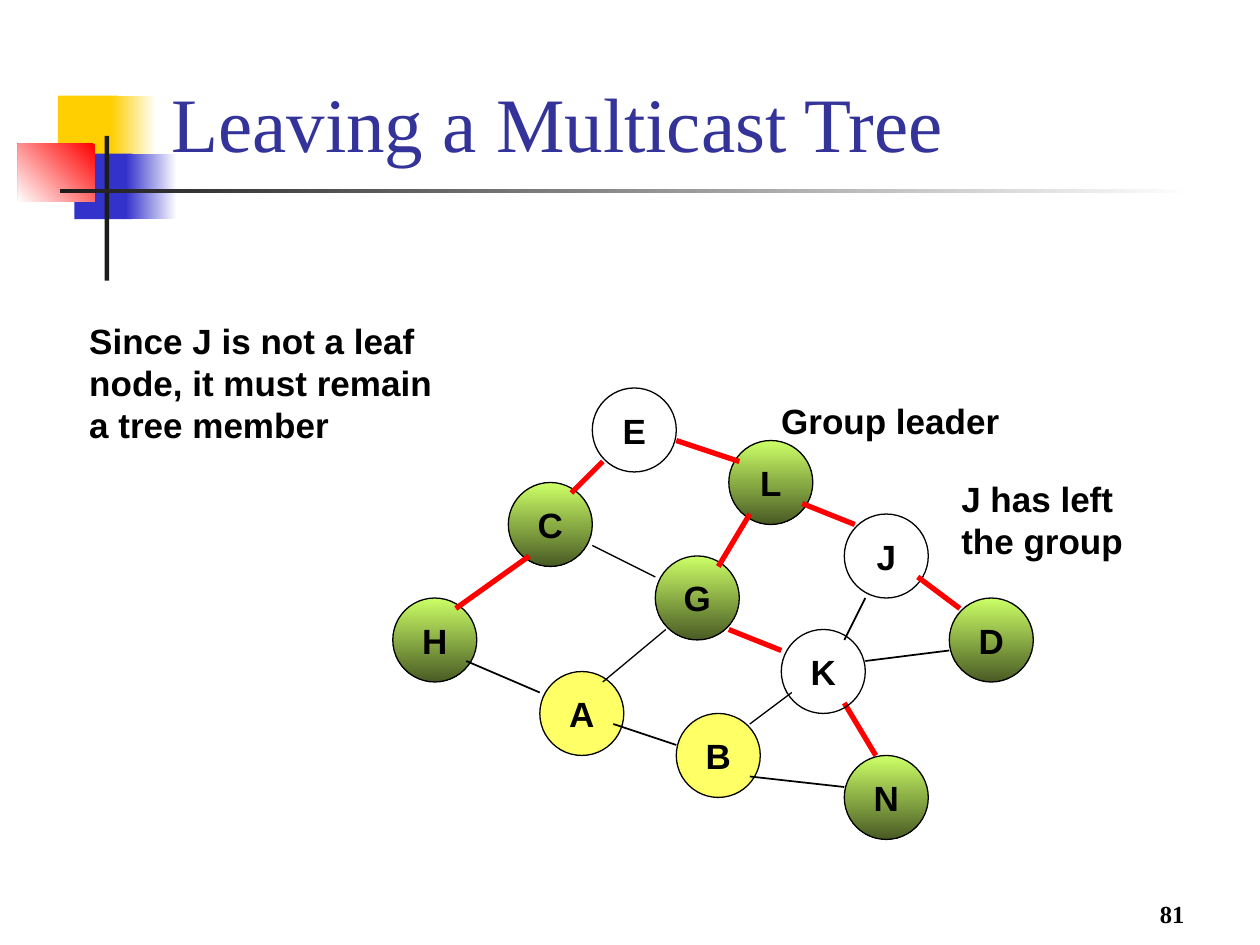
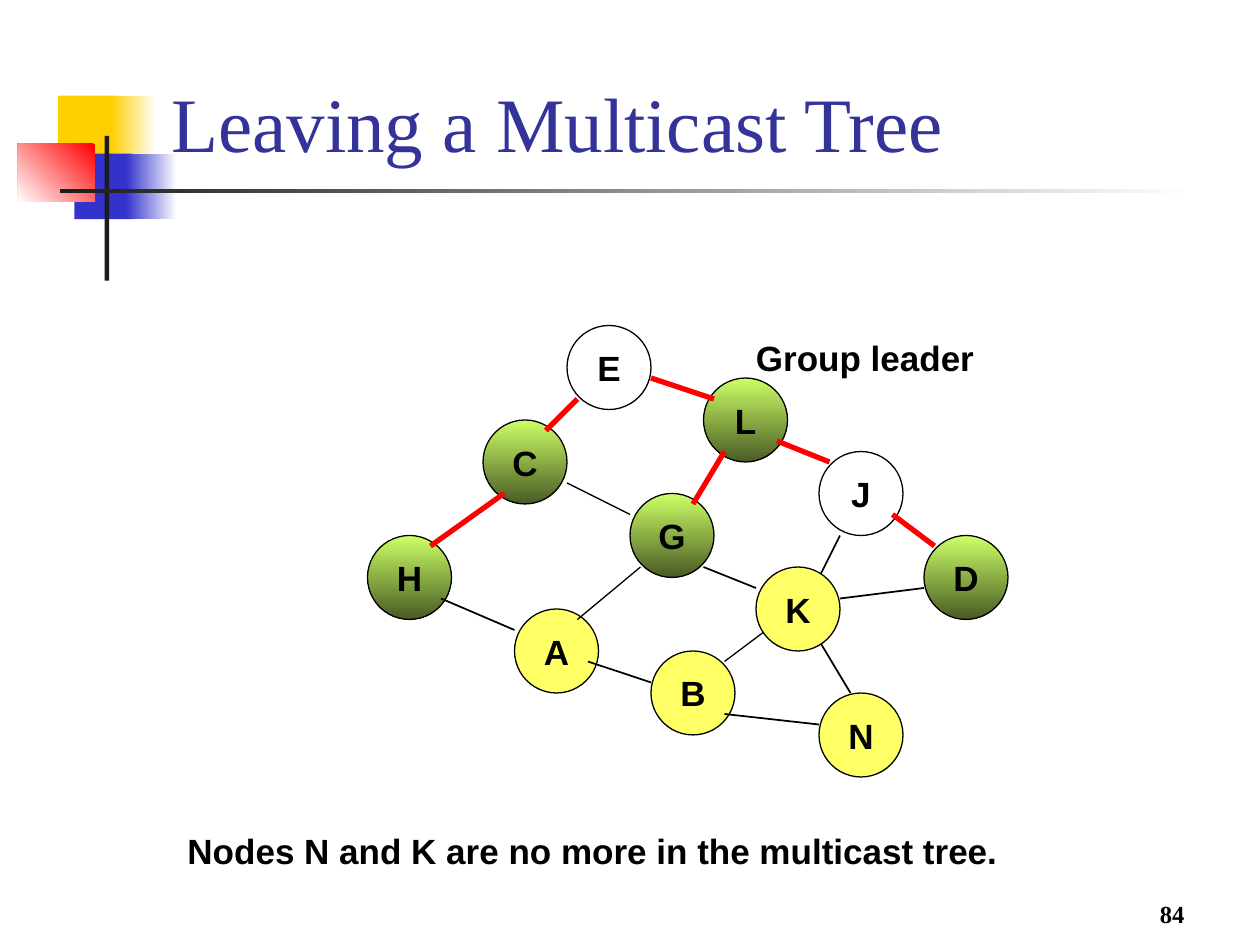
from dataclasses import dataclass

from lxml import etree
from pptx import Presentation, util as u
from pptx.dml.color import RGBColor
from pptx.enum import shapes as es, text as et
from pptx.oxml.ns import qn

Cm, Pt = u.Cm, u.Pt


# Theme: colours, fonts and sizes
@dataclass(frozen=True)
class Theme:
    ink: str = "000000"
    white: str = "FFFFFF"
    title: str = "333399"
    gold: str = "FFCF01"
    blue: str = "3333CC"
    red: str = "FF0000"
    bar: str = "1C1C1C"
    idle: str = "FFFF66"
    lime: str = "CCFF66"
    moss: str = "495B24"
    serif: str = "Times New Roman"
    sans: str = "Arial"
    head: int = 44
    body: int = 20
    foot: int = 14
    hair: float = 0.75
    thin: float = 1
    thick: float = 3


T = Theme()
CELL = 2.54 / 12  # the graph sits on a grid of twelfths of an inch
SIZE = 8          # node diameter in cells

# Graph: node places and link ends in cells
NODES = {"E": (54, 31), "L": (67, 36), "H": (35, 51), "J": (78, 43),
         "D": (88, 51), "C": (46, 40), "G": (60, 47), "A": (49, 58),
         "B": (62, 62), "K": (72, 54), "N": (78, 66)}
FRONT = "KN"  # nodes drawn above the links
LINKS = {"CH": (48, 47, 41, 52), "EC": (55, 38, 52, 41),
         "EL": (62, 36, 68, 38), "LG": (69, 43, 66, 48),
         "CG": (54, 46, 60, 49), "HA": (42, 57, 49, 60),
         "LJ": (74, 42, 79, 44), "GK": (67, 54, 72, 56),
         "JD": (85, 49, 89, 52), "DK": (88, 56, 80, 57),
         "NK": (81, 66, 78, 61), "BA": (62, 65, 56, 63),
         "BN": (69, 68, 78, 69), "JK": (80, 51, 78, 55),
         "GA": (61, 54, 55, 59), "KB": (73, 60, 69, 63)}
FINE = {"CG", "GA", "KB"}
TREE = {"CH", "EC", "EL", "LG", "LJ", "JD"}


class Deck:
    def __init__(self):
        self.prs = Presentation()
        self.prs.slide_width, self.prs.slide_height = Cm(25.4), Cm(19.05)
        self.base = self.prs.slide_layouts.get_by_name("Title Only")
        self.page = None

    def paint(self, fill, color, angle=0):
        """Fill with nothing, one colour, or a pair at a clockwise angle."""
        if color is None:
            fill.background()
        elif isinstance(color, str):
            fill.solid()
            fill.fore_color.rgb = RGBColor.from_string(color)
        else:
            fill.gradient()
            fill.gradient_angle = (360 - angle) % 360
            for stop, tone in zip(fill.gradient_stops, color):
                stop.color.rgb = RGBColor.from_string(tone)

    def label(self, frame, lines, size, font, color=T.ink, bold=True,
              align=et.PP_ALIGN.LEFT, anchor=et.MSO_ANCHOR.MIDDLE, wrap=False):
        frame.word_wrap, frame.vertical_anchor = wrap, anchor
        frame.auto_size = et.MSO_AUTO_SIZE.NONE
        for i, line in enumerate(lines):
            para = frame.paragraphs[0] if i == 0 else frame.add_paragraph()
            para.alignment = align
            run = para.add_run()
            run.text = line
            run.font.name, run.font.size, run.font.bold = font, Pt(size), bold
            run.font.color.rgb = RGBColor.from_string(color)

    def shape(self, kind, box, color, angle=0, edge=None):
        item = self.page.shapes.add_shape(kind, *map(Cm, box))
        item.shadow.inherit = False
        self.paint(item.fill, color, angle)
        self.paint(item.line.fill, edge)
        return item

    def frame(self):
        """Put the corner blocks and bars on the shared layout."""
        tree = self.base.element.cSld.spTree
        parts = [((1.17, 1.93, 1.22, 1.32), T.gold, 0),
                 ((2.24, 1.93, 0.91, 1.32), (T.white, T.gold), 180),
                 ((1.5, 3.1, 1.17, 1.32), T.blue, 0),
                 ((2.54, 3.1, 1.02, 1.32), (T.white, T.blue), 180),
                 ((0.36, 2.9, 1.55, 1.17), (T.red, T.white), 135),
                 ((2.11, 2.74, 0.09, 2.92), T.bar, 0),
                 ((1.22, 3.81, 22.86, 0.09), (T.white, T.bar), 180)]
        for i, (box, color, angle) in enumerate(parts):
            block = self.shape(es.MSO_SHAPE.RECTANGLE, box, color, angle)
            tree.insert(2 + i, block.element)

    def slide(self, title, number):
        first = self.page is None
        self.page = self.prs.slides.add_slide(self.base)
        if first:
            self.frame()
        head = self.page.shapes.title
        head.left, head.top, head.width, head.height = map(
            Cm, (3.2, 0.33, 21.64, 3.18))
        self.label(head.text_frame, [title], T.head, T.serif, T.title, False,
                   anchor=et.MSO_ANCHOR.BOTTOM, wrap=True)
        foot = self.page.shapes.add_textbox(
            *map(Cm, (18.85, 17.58, 5.28, 1.27)))
        self.label(foot.text_frame, [str(number)], T.foot, T.serif,
                   align=et.PP_ALIGN.RIGHT, anchor=et.MSO_ANCHOR.BOTTOM,
                   wrap=True)

    def note(self, box, *lines):
        item = self.page.shapes.add_textbox(*map(Cm, box))
        self.label(item.text_frame, lines, T.body, T.sans)

    def node(self, name, color, dx, dy):
        col, row = NODES[name]
        box = (col * CELL + dx, row * CELL + dy, SIZE * CELL, SIZE * CELL)
        item = self.shape(es.MSO_SHAPE.OVAL, box, color, 90, T.ink)
        item.line.width = Pt(T.hair)
        self.label(item.text_frame, [name], T.body, T.sans,
                   align=et.PP_ALIGN.CENTER)

    def link(self, ends, color, width, dx, dy):
        spots = [Cm(n * CELL + d) for n, d in zip(ends, (dx, dy, dx, dy))]
        item = self.page.shapes.add_connector(es.MSO_CONNECTOR.STRAIGHT, *spots)
        self.paint(item.line.fill, color)
        item.line.width = Pt(width)
        etree.SubElement(item.element.spPr, qn("a:effectLst"))

    def graph(self, group, idle, tree, dx=0, dy=0):
        """Draw the network: group members, idle nodes and tree links."""
        def draw(names):
            for name in names:
                color = ((T.lime, T.moss) if name in group
                         else T.idle if name in idle else None)
                self.node(name, color, dx, dy)

        draw(n for n in NODES if n not in FRONT)
        for pair, ends in LINKS.items():
            if pair in tree:
                color, width = T.red, T.thick
            else:
                color, width = T.ink, T.hair if pair in FINE else T.thin
            self.link(ends, color, width, dx, dy)
        draw(FRONT)
        self.note((14.99 + dx, 6.65 + dy, 4.9, 1.12), "Group leader")


def main():
    deck = Deck()
    title = "Leaving a Multicast Tree"

    # J stays in the tree
    deck.slide(title, 81)
    deck.graph("LHDCGN", "AB", TREE | {"GK", "NK"}, 0.51, 1.26)
    deck.note((19.13, 9.5, 3.76, 1.96), "J has left", "the group")
    deck.note((1.55, 6.32, 7.42, 2.79), "Since J is not a leaf",
              "node, it must remain", "a tree member")

    # N and K are pruned
    deck.slide(title, 84)
    deck.graph("LHDCG", "ABKN", TREE)
    deck.note((3.53, 16.59, 16.84, 1.12),
              "Nodes N and K are no more in the multicast tree.")

    deck.prs.save("out.pptx")


if __name__ == "__main__":
    main()
